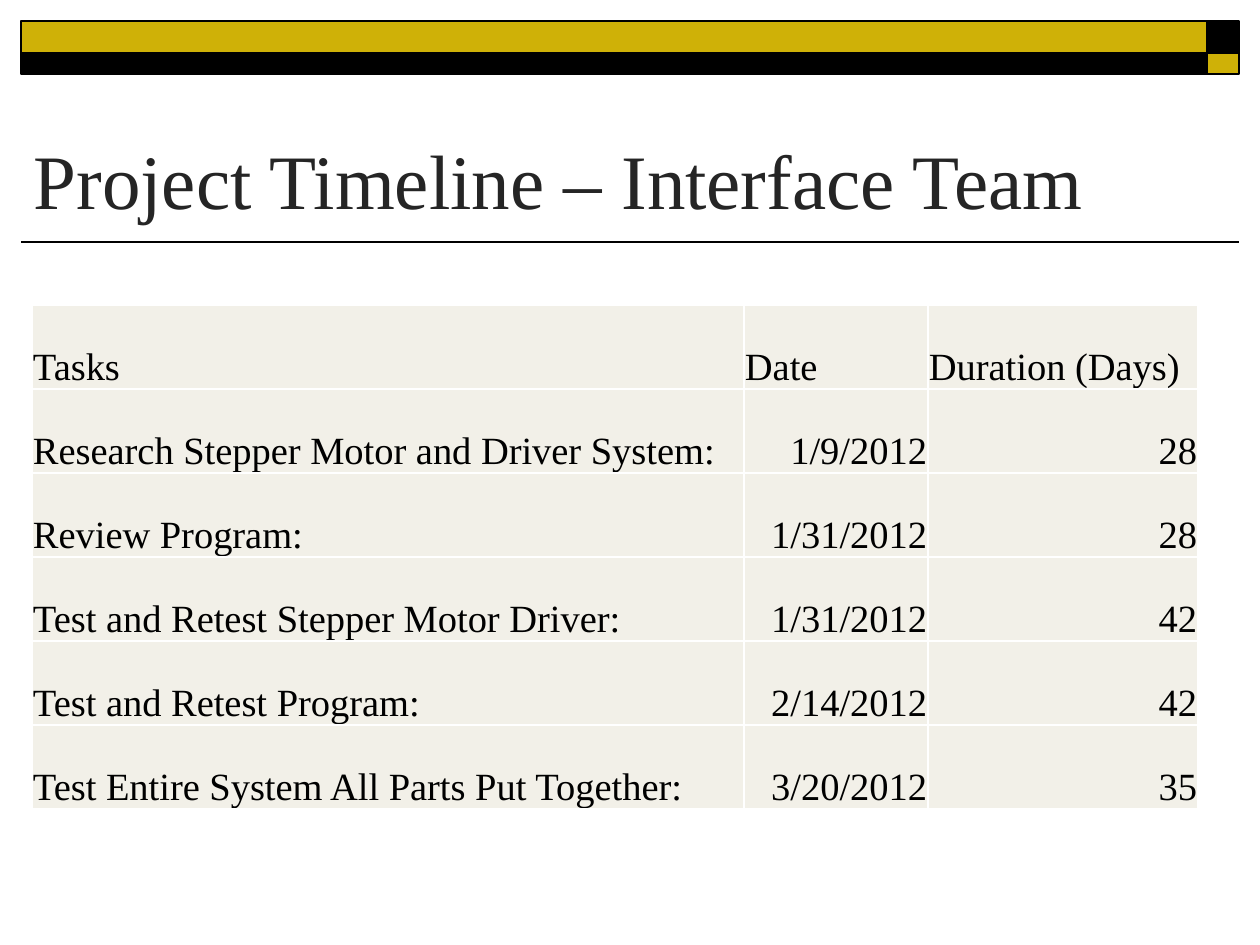
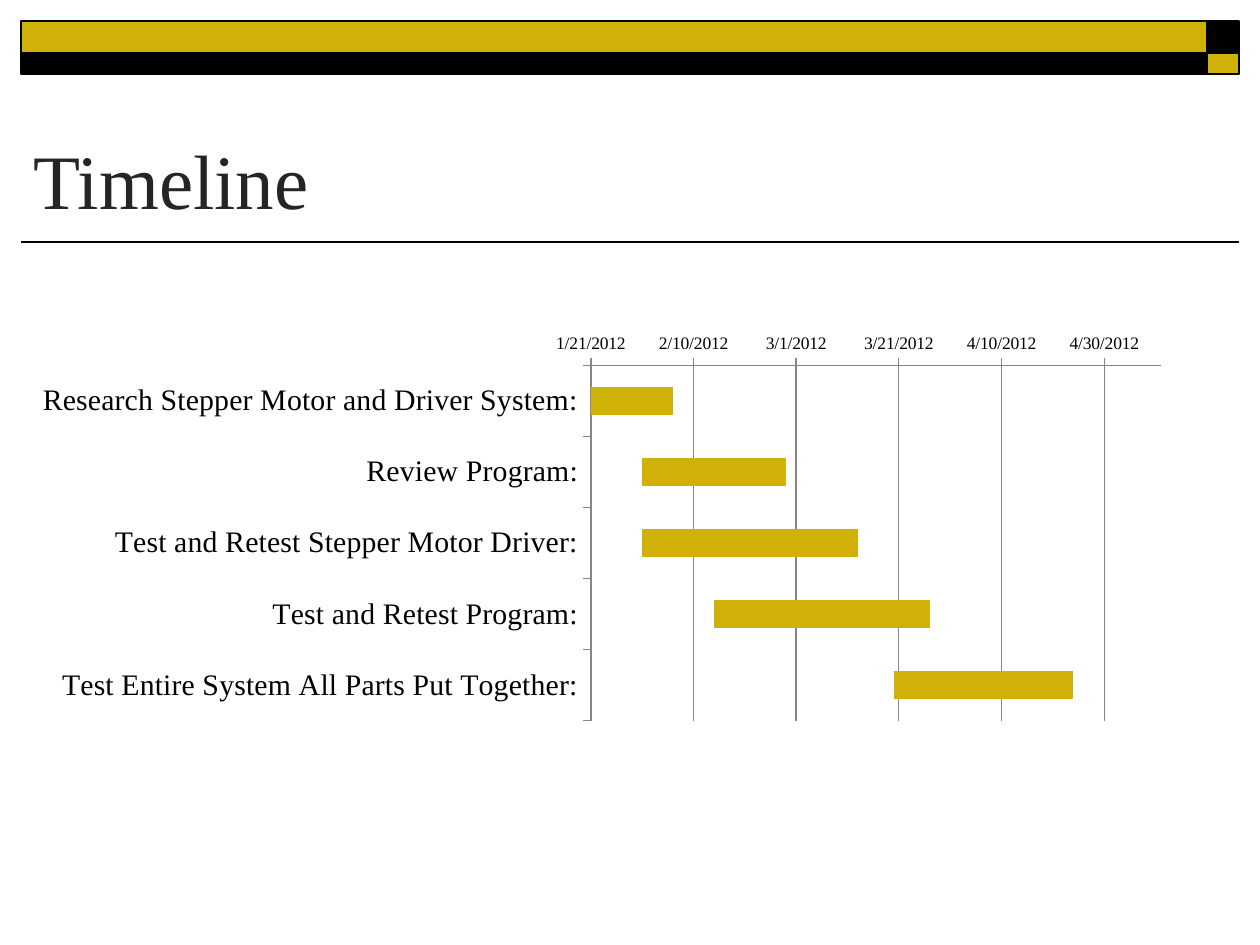
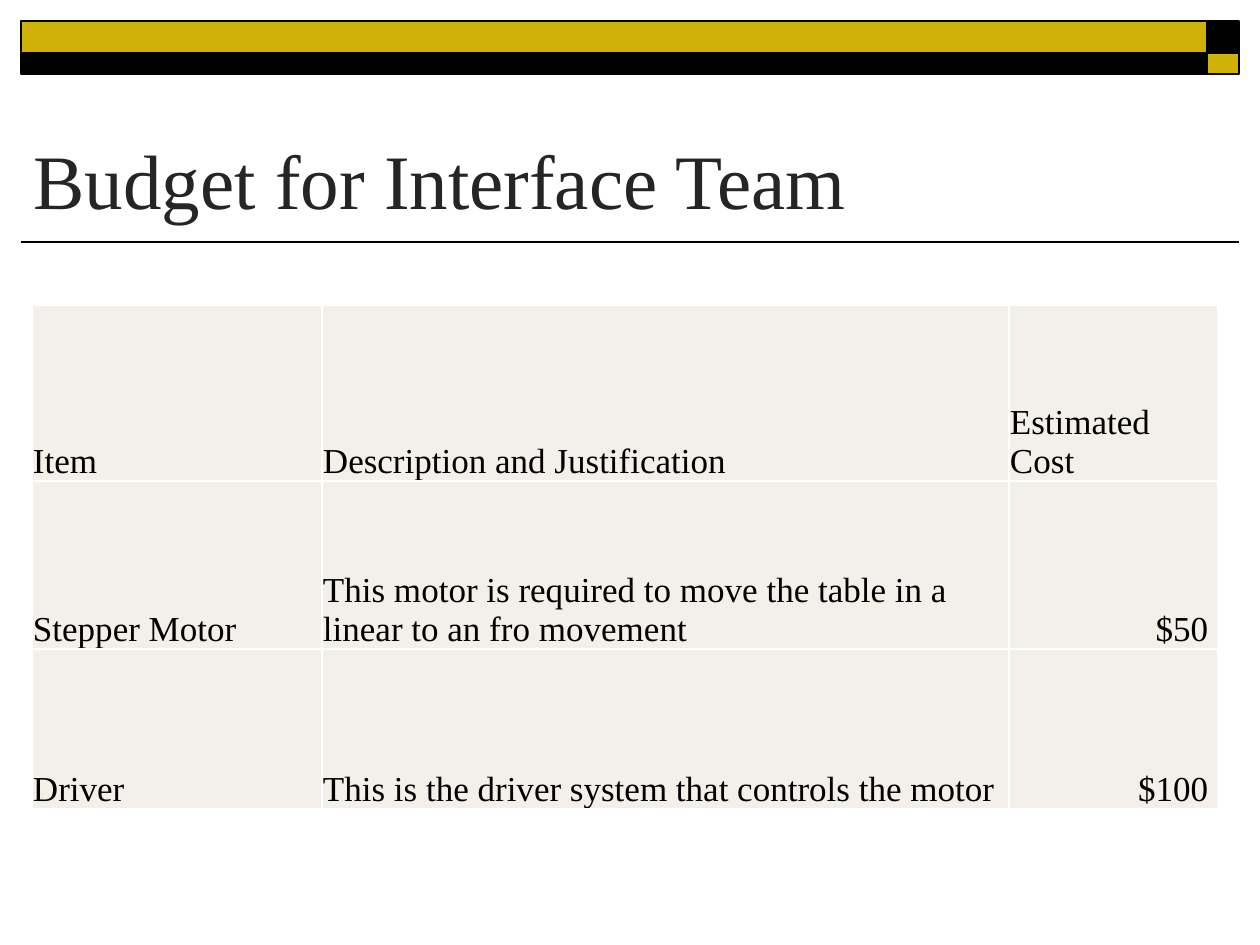
from dataclasses import dataclass

from lxml.etree import SubElement
from pptx import Presentation
from pptx.chart.data import CategoryChartData
from pptx.dml.color import RGBColor
from pptx.enum.chart import XL_CHART_TYPE as ChartType, XL_TICK_MARK as TickMark
from pptx.enum.shapes import MSO_CONNECTOR as Connector, MSO_SHAPE as ShapeType
from pptx.enum.text import MSO_ANCHOR as Anchor, MSO_AUTO_SIZE as AutoSize, PP_ALIGN as Align
from pptx.oxml import parse_xml
from pptx.oxml.ns import nsdecls, qn
from pptx.util import Pt

# Shared style
BLACK = RGBColor(0x00, 0x00, 0x00)
WHITE = RGBColor(0xFF, 0xFF, 0xFF)
GOLD = RGBColor(0xCF, 0xB1, 0x07)
TITLE_GREY = RGBColor(0x25, 0x25, 0x25)
CELL_CREAM = RGBColor(0xF2, 0xF0, 0xE8)
AXIS_GREY = RGBColor(0x86, 0x86, 0x86)
FONT = "Times New Roman"
PX_PER_INCH = 126
SLIDE_WIDTH, SLIDE_HEIGHT = 1260, 945


def px(length: int) -> int:
    return round(length * 914400 / PX_PER_INCH)


@dataclass(frozen=True)
class Box:
    left: int
    top: int
    width: int
    height: int

    def emu(self) -> tuple[int, ...]:
        return tuple(px(n) for n in (self.left, self.top, self.width, self.height))


@dataclass(frozen=True)
class Band:
    box: Box
    color: RGBColor


@dataclass(frozen=True)
class Column:
    header: str
    width: int
    align: Align = Align.LEFT


@dataclass(frozen=True)
class Task:
    name: str
    date: str
    start: int  # spreadsheet day number of the date
    days: int


BANDS = [
    Band(Box(1207, 21, 32, 32), BLACK),
    Band(Box(21, 21, 1186, 32), GOLD),
    Band(Box(21, 53, 1186, 21), BLACK),
    Band(Box(1207, 53, 32, 21), GOLD),
]
RULE_LEFT, RULE_RIGHT, RULE_TOP = 21, 1239, 242
TABLE_LEFT, TABLE_TOP = 32, 305

# Slide content
TASKS = [
    Task("Research Stepper Motor and Driver System:", "1/9/2012", 40917, 28),
    Task("Review Program:", "1/31/2012", 40939, 28),
    Task("Test and Retest Stepper Motor Driver:", "1/31/2012", 40939, 42),
    Task("Test and Retest Program:", "2/14/2012", 40953, 42),
    Task("Test Entire System All Parts Put Together:", "3/20/2012", 40988, 35),
]
TASK_COLUMNS = [
    Column("Tasks", 712),
    Column("Date", 184, Align.RIGHT),
    Column("Duration (Days)", 270, Align.RIGHT),
]
BUDGET_COLUMNS = [
    Column("Item", 290),
    Column("Description and Justification", 687),
    Column("Estimated Cost", 209, Align.RIGHT),
]
BUDGET = [
    ("Stepper Motor", "This motor is required to move the table in a linear to an fro movement", "$50 "),
    ("Driver", "This is the driver system that controls the motor", "$100 "),
]


def add_run(paragraph, text: str, size: int, color: RGBColor = BLACK) -> None:
    run = paragraph.add_run()
    run.text = text
    run.font.name = FONT
    run.font.size = Pt(size)
    run.font.color.rgb = color


def decorate_layout(layout, slide) -> None:
    """Draw the bands and the title rule, then hand them to the layout."""
    parts = []
    rule = slide.shapes.add_connector(
        Connector.STRAIGHT, px(RULE_RIGHT), px(RULE_TOP), px(RULE_LEFT), px(RULE_TOP))
    SubElement(rule.element.spPr, qn("a:effectLst"))
    parts.append(rule)
    for band in BANDS:
        shape = slide.shapes.add_shape(ShapeType.RECTANGLE, *band.box.emu())
        shape.shadow.inherit = False
        shape.fill.solid()
        shape.fill.fore_color.rgb = band.color
        parts.append(shape)
    for number, part in enumerate(parts, start=100):
        part.line.color.rgb = BLACK
        part.line.width = Pt(1)
        part.element.xpath("*/p:cNvPr")[0].set("id", str(number))
        layout.shapes.element.append(part.element)


def add_titled_slide(presentation, layout, text: str, width: int = 945):
    slide = presentation.slides.add_slide(layout)
    title = slide.shapes.title
    title.left, title.top, title.width, title.height = Box(21, 84, width, 147).emu()
    frame = title.text_frame
    frame.auto_size = AutoSize.NONE
    frame.word_wrap = True
    frame.vertical_anchor = Anchor.BOTTOM
    paragraph = frame.paragraphs[0]
    paragraph.alignment = Align.LEFT
    add_run(paragraph, text, 44, TITLE_GREY)
    return slide


def format_cell(cell, text: str, size: int, align: Align) -> None:
    cell.margin_left = cell.margin_right = cell.margin_top = px(1)
    cell.margin_bottom = 0
    cell.vertical_anchor = Anchor.BOTTOM
    paragraph = cell.text_frame.paragraphs[0]
    paragraph.alignment = align
    add_run(paragraph, text, size)
    # Borders come before the fill in the cell properties
    properties = cell._tc.get_or_add_tcPr()
    for side in ("lnL", "lnR", "lnT", "lnB"):
        properties.append(parse_xml(
            f'<a:{side} {nsdecls("a")} w="{Pt(1)}"><a:solidFill>'
            f'<a:srgbClr val="{WHITE}"/></a:solidFill></a:{side}>'))
    cell.fill.solid()
    cell.fill.fore_color.rgb = CELL_CREAM


def add_grid(slide, columns: list[Column], rows: list[tuple], heights: list[int], size: int) -> None:
    box = Box(TABLE_LEFT, TABLE_TOP, sum(column.width for column in columns), sum(heights))
    table = slide.shapes.add_table(len(heights), len(columns), *box.emu()).table
    table.first_row = table.horz_banding = False
    for row, height in zip(table.rows, heights):
        row.height = px(height)
    for c, column in enumerate(columns):
        table.columns[c].width = px(column.width)
        format_cell(table.cell(0, c), column.header, size, Align.LEFT)
        for r, values in enumerate(rows, start=1):
            format_cell(table.cell(r, c), values[c], size, column.align)


def place_plot(chart, x: float, y: float, width: float, height: float) -> None:
    """Fix the inner plot area, as fractions of the chart."""
    plot_area = chart.element.chart.plotArea
    for old in plot_area.findall(qn("c:layout")):
        plot_area.remove(old)
    plot_area.insert(0, parse_xml(
        f'<c:layout {nsdecls("c")}><c:manualLayout><c:layoutTarget val="inner"/>'
        '<c:xMode val="edge"/><c:yMode val="edge"/>'
        f'<c:x val="{x}"/><c:y val="{y}"/><c:w val="{width}"/><c:h val="{height}"/>'
        '</c:manualLayout></c:layout>'))


def add_gantt(slide, tasks: list[Task], box: Box) -> None:
    data = CategoryChartData()
    data.categories = [task.name for task in tasks]
    data.add_series("Series 1", [task.start for task in tasks], "m/d/yyyy")
    data.add_series("Series 2", [task.days for task in tasks])
    chart = slide.shapes.add_chart(ChartType.BAR_STACKED, *box.emu(), data).chart
    chart.has_legend = chart.has_title = False
    chart.font.name = FONT
    chart.font.size = Pt(10)
    chart.font.color.rgb = BLACK

    # Invisible start bars carry the visible durations
    plot = chart.plots[0]
    plot.vary_by_categories = False
    plot.gap_width, plot.overlap = 150, 100
    starts, durations = plot.series
    starts.format.fill.background()
    durations.format.fill.solid()
    durations.format.fill.fore_color.rgb = GOLD

    tasks_axis, dates_axis = chart.category_axis, chart.value_axis
    tasks_axis.reverse_order = True
    tasks_axis.tick_labels.font.size = Pt(17)
    dates_axis.minimum_scale, dates_axis.maximum_scale = 40929, 41040
    dates_axis.major_unit = 20
    dates_axis.has_major_gridlines = True
    dates_axis.tick_labels.number_format = "m/d/yyyy"
    dates_axis.tick_labels.number_format_is_linked = False
    for axis in (tasks_axis, dates_axis):
        axis.major_tick_mark = TickMark.OUTSIDE
    for part in (tasks_axis, dates_axis, dates_axis.major_gridlines):
        part.format.line.color.rgb = AXIS_GREY
        part.format.line.width = Pt(0.75)
    place_plot(chart, 0.49, 0.1, 0.49, 0.88)


def main() -> None:
    presentation = Presentation()
    presentation.slide_width, presentation.slide_height = px(SLIDE_WIDTH), px(SLIDE_HEIGHT)
    layout = presentation.slide_layouts.get_by_name("Title Only")

    # Task table
    slide = add_titled_slide(presentation, layout, "Project Timeline – Interface Team", 1155)
    decorate_layout(layout, slide)
    rows = [(task.name, task.date, str(task.days)) for task in TASKS]
    add_grid(slide, TASK_COLUMNS, rows, [84] * (len(rows) + 1), 22)

    # Gantt chart
    slide = add_titled_slide(presentation, layout, "Timeline")
    add_gantt(slide, TASKS, Box(21, 325, 1163, 404))

    # Budget table
    slide = add_titled_slide(presentation, layout, "Budget for Interface Team")
    add_grid(slide, BUDGET_COLUMNS, BUDGET, [176, 168, 160], 20)

    presentation.save("out.pptx")


if __name__ == "__main__":
    main()
